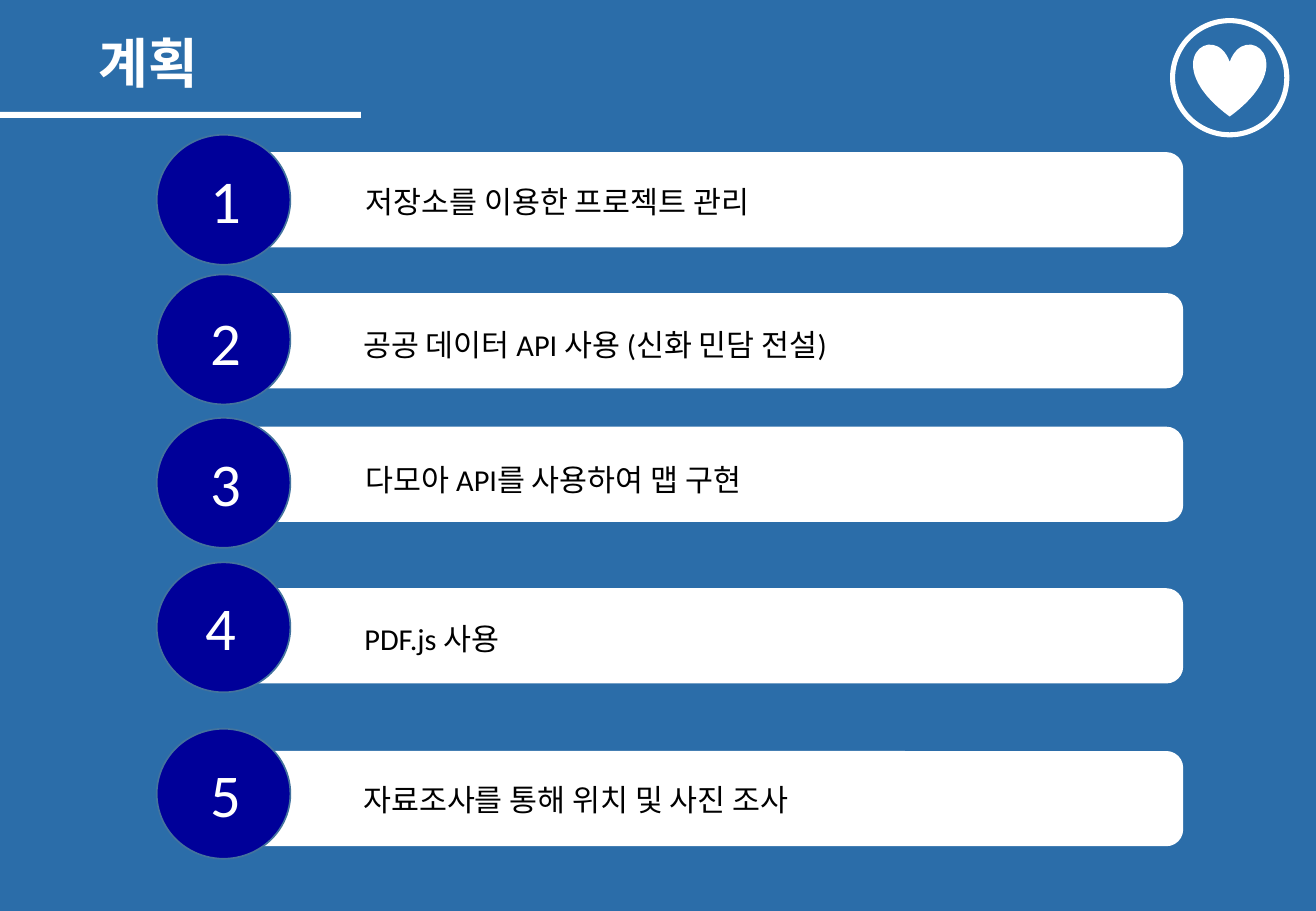
from lxml.etree import SubElement
from pptx import Presentation
from pptx.dml.color import RGBColor
from pptx.enum.shapes import MSO_SHAPE
from pptx.enum.text import MSO_ANCHOR, MSO_AUTO_SIZE, PP_ALIGN
from pptx.oxml.ns import qn
from pptx.util import Emu, Pt

PX = 9144  # 100 px to the inch
BLUE = RGBColor(0x2B, 0x6D, 0xA9)
NAVY = RGBColor(0x00, 0x00, 0x99)
STEEL = RGBColor(0x43, 0x73, 0x9E)
WHITE = RGBColor(0xFF, 0xFF, 0xFF)
BLACK = RGBColor(0x00, 0x00, 0x00)
KOREAN_FONT = "Noto Sans CJK KR"

# Plan items: text, bar top, circle top, number left and top, text left and top
ITEMS = [
    ("저장소를 이용한 프로젝트 관리", 126, 111, (153, 129), (291, 146)),
    ("공공 데이터 API 사용 (신화 민담 전설)", 242, 226, (153, 246), (289, 264)),
    ("다모아 API를 사용하여 맵 구현", 352, 344, (153, 362), (291, 375)),
    ("PDF.js 사용", 485, 463, (149, 481), (290, 506)),
    ("자료조사를 통해 위치 및 사진 조사", 619, 600, (153, 618), (289, 638)),
]


def px(*lengths):
    return [Emu(length * PX) for length in lengths]


def add_figure(shapes, kind, place, fill=None, line=None, width=1):
    figure = shapes.add_shape(kind, *px(*place))
    figure.shadow.inherit = False
    if fill is None:
        figure.fill.background()
    else:
        figure.fill.solid()
        figure.fill.fore_color.rgb = fill
    if line is None:
        figure.line.fill.background()
    else:
        figure.line.color.rgb = line
        figure.line.width = Pt(width)
    return figure


def write_text(box, text, size, color, font="Calibri", bold=False, align=PP_ALIGN.LEFT):
    frame = box.text_frame
    frame.word_wrap = True
    frame.auto_size = MSO_AUTO_SIZE.NONE
    frame.vertical_anchor = MSO_ANCHOR.TOP
    para = frame.paragraphs[0]
    para.text = text
    para.alignment = align
    para.font.size = Pt(size)
    para.font.bold = bold
    para.font.color.rgb = color
    para.font.name = font
    # Hangul takes the East Asian font
    properties = para._p.pPr.find(qn("a:defRPr"))
    SubElement(properties, qn("a:ea")).set("typeface", KOREAN_FONT)


def add_title(page, text):
    title = page.shapes.title
    title.left, title.top, title.width, title.height = px(71, 19, 110, 104)
    write_text(title, text, 32, WHITE, font=KOREAN_FONT, bold=True)


def add_heart_badge(page):
    badge = page.shapes.add_group_shape()
    add_figure(badge.shapes, MSO_SHAPE.OVAL, (965, 17, 94, 94), line=WHITE, width=3)
    add_figure(badge.shapes, MSO_SHAPE.HEART, (982, 36, 60, 60), fill=WHITE)


def add_item(page, number, text, bar_top, circle_top, number_at, text_at):
    shapes = page.shapes
    bar = add_figure(shapes, MSO_SHAPE.ROUNDED_RECTANGLE,
                     (172, bar_top, 801, 77), fill=WHITE, line=WHITE)
    bar.adjustments[0] = 0.17
    add_figure(shapes, MSO_SHAPE.FLOWCHART_CONNECTOR,
               (129, circle_top, 110, 107), fill=NAVY, line=STEEL)
    number_box = shapes.add_textbox(*px(*number_at, 66, 71))
    write_text(number_box, str(number), 36, WHITE, align=PP_ALIGN.CENTER)
    text_box = shapes.add_textbox(*px(*text_at, 662, 40))
    write_text(text_box, text, 18, BLACK)


def main():
    deck = Presentation()
    deck.slide_width, deck.slide_height = px(1083, 750)
    page = deck.slides.add_slide(deck.slide_layouts[5])
    page.background.fill.solid()
    page.background.fill.fore_color.rgb = BLUE

    # Heading with its rule and badge
    add_title(page, "계획")
    add_figure(page.shapes, MSO_SHAPE.RECTANGLE, (0, 92, 297, 5), fill=WHITE)
    add_heart_badge(page)

    # Numbered plan
    for number, item in enumerate(ITEMS, start=1):
        add_item(page, number, *item)

    deck.save("out.pptx")


if __name__ == "__main__":
    main()
